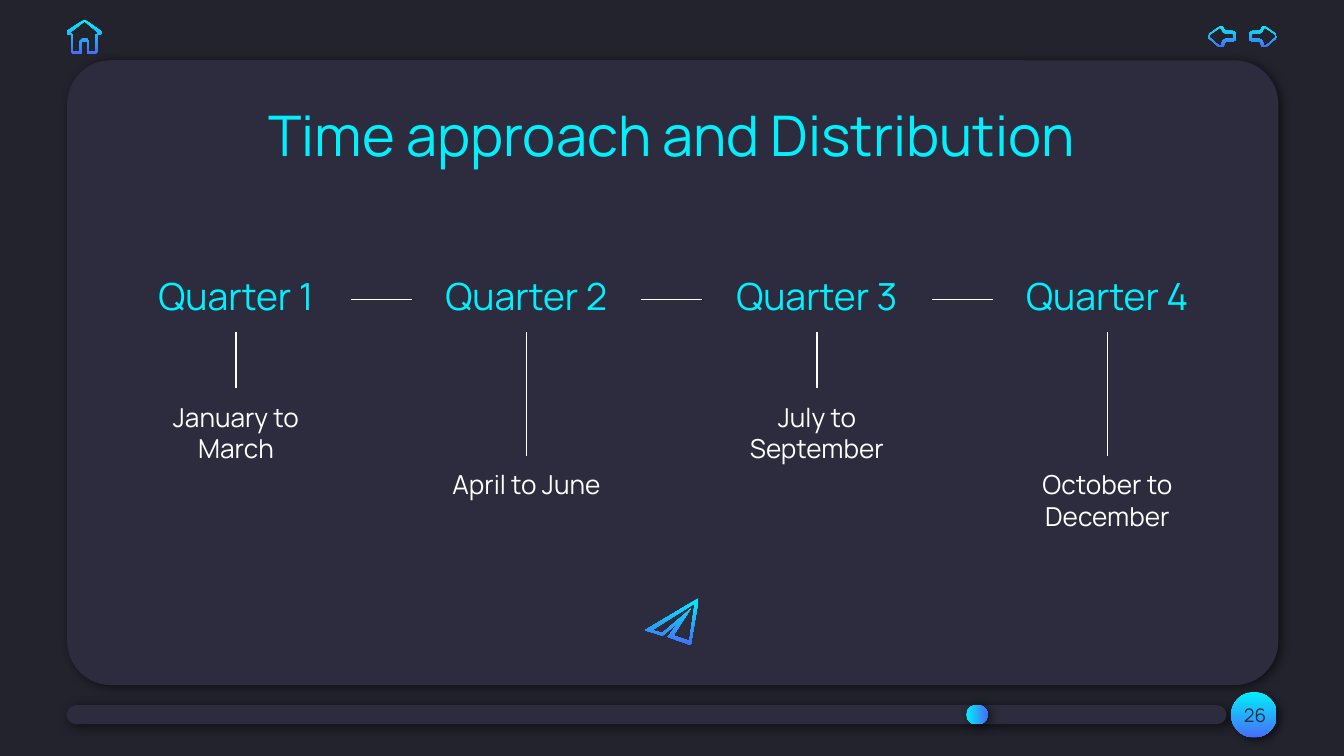
"""Build the quarterly time approach slide."""
from typing import NamedTuple

from lxml.etree import SubElement as Sub
from pptx import Presentation
from pptx.dml.color import RGBColor
from pptx.enum.shapes import MSO_CONNECTOR as Link, MSO_SHAPE as Kind
from pptx.enum.text import MSO_ANCHOR as Anchor, PP_ALIGN as Align
from pptx.oxml.ns import qn
from pptx.util import Cm, Pt

NIGHT = RGBColor(0x23, 0x23, 0x2E)
PANEL = RGBColor(0x2C, 0x2C, 0x3E)
CYAN = RGBColor(0x01, 0xF0, 0xFD)
BLUE = RGBColor(0x47, 0x6D, 0xFA)
WHITE = RGBColor(0xFF, 0xFF, 0xFF)
FONT = "Manrope"
DOWN, RIGHT = 270, 0
Points = list[tuple[int, int]]


class Box(NamedTuple):
    left: float
    top: float
    width: float
    height: float

    def size(self) -> list:
        return [Cm(side) for side in self]


class Stage(NamedTuple):
    name: str
    months: str
    top: float


HIGH, LOW = 7.34, 8.61
STAGES = [
    Stage("Quarter 1", "January to March", HIGH),
    Stage("Quarter 2", "April to June", LOW),
    Stage("Quarter 3", "July to September", HIGH),
    Stage("Quarter 4", "October to December", LOW),
]
LEFT, STEP, WIDTH = 2.29, 5.49, 4.34

UNIT = Cm(0.0254)
ARROW: list[Points] = [
    [(931, 26), (932, 25), (937, 25), (939, 24), (940, 22), (940, 21),
     (942, 21), (949, 26), (949, 28), (942, 34), (940, 34), (940, 32),
     (939, 30), (937, 29), (932, 29), (931, 28)],
    [(929, 28), (930, 30), (932, 31), (937, 31), (938, 32), (938, 33),
     (939, 35), (940, 35), (942, 35), (949, 29), (950, 28), (950, 27),
     (949, 25), (942, 20), (940, 19), (939, 20), (938, 22), (937, 23),
     (932, 23), (930, 24), (929, 26)],
]
MIRROR = 1849
PLANE: list[Points] = [
    [(517, 449), (513, 477), (501, 473), (514, 453), (493, 471), (485, 469)],
    [(520, 445), (480, 469), (493, 473), (505, 463), (497, 474), (514, 480)],
]
HOME: list[Points] = [
    [(63, 16), (74, 25), (73, 25), (71, 26), (71, 38), (66, 38), (66, 31),
     (65, 29), (61, 29), (59, 31), (59, 38), (54, 38), (54, 26), (53, 25),
     (51, 25)],
    [(63, 15), (62, 15), (50, 23), (50, 25), (51, 26), (53, 26), (53, 38),
     (54, 40), (61, 40), (61, 31), (65, 31), (65, 40), (71, 40), (73, 38),
     (73, 26), (74, 26), (76, 25), (75, 23), (64, 15)],
]


def blend(shape, angle: int) -> None:
    """Fill a shape from cyan to blue."""
    shape.fill.gradient()
    shape.fill.gradient_angle = angle
    for stop, tint in zip(shape.fill.gradient_stops, (CYAN, BLUE)):
        stop.color.rgb = tint


def shade(shape, blur: float = 5.6) -> None:
    """Give a shape a soft outer shadow."""
    glow = Sub(shape.element.spPr.find(qn("a:effectLst")), qn("a:outerShdw"),
               blurRad=str(Pt(blur)), dist=str(Pt(2.2)), dir="1980000",
               algn="bl", rotWithShape="0")
    tint = Sub(glow, qn("a:srgbClr"), val="000000")
    Sub(tint, qn("a:alpha"), val="60000")


def solid(shapes, kind: Kind, box: Box, curve: float | None = None):
    """Add a borderless preset shape in the panel colour."""
    shape = shapes.add_shape(kind, *box.size())
    shape.shadow.inherit = False
    shape.line.fill.background()
    shape.fill.solid()
    shape.fill.fore_color.rgb = PANEL
    if curve is not None:
        shape.adjustments[0] = curve
    return shape


def label(shapes, text: str, box: Box, size: int, tint: RGBColor,
          anchor: Anchor = Anchor.TOP):
    """Add a centred text box."""
    item = shapes.add_textbox(*box.size())
    frame = item.text_frame
    frame.word_wrap = True
    frame.vertical_anchor = anchor
    frame.margin_left = frame.margin_right = Cm(0.25)
    frame.margin_top = frame.margin_bottom = Cm(0.25)
    para = frame.paragraphs[0]
    para.alignment = Align.CENTER
    run = para.add_run()
    run.text = text
    run.font.name = FONT
    run.font.size = Pt(size)
    run.font.color.rgb = tint
    return item


def join(shapes, start, out: int, end, into: int) -> None:
    """Link two boxes with a thin white line."""
    line = shapes.add_connector(Link.STRAIGHT, 0, 0, 0, 0)
    line.begin_connect(start, out)
    line.end_connect(end, into)
    line.line.color.rgb = WHITE
    line.line.width = Pt(0.75)
    Sub(line.element.spPr, qn("a:effectLst"))


def icon(shapes, rings: list[Points]) -> None:
    """Add a hollow icon from its inner and outer rings."""
    first, *others = rings
    pen = shapes.build_freeform(*first[0], scale=UNIT)
    pen.add_line_segments(first[1:], close=True)
    for ring in others:
        pen.move_to(*ring[0])
        pen.add_line_segments(ring[1:], close=True)
    shape = pen.convert_to_shape()
    shape.shadow.inherit = False
    shape.line.fill.background()
    blend(shape, DOWN)


def main() -> None:
    """Draw the slide and save it."""
    deck = Presentation()
    deck.slide_width, deck.slide_height = Cm(25.4), Cm(14.29)
    slide = deck.slides.add_slide(deck.slide_layouts[6])
    slide.background.fill.solid()
    slide.background.fill.fore_color.rgb = NIGHT
    shapes = slide.shapes

    shade(solid(shapes, Kind.ROUNDED_RECTANGLE,
                Box(1.27, 1.14, 22.89, 11.81), 0.07))
    shade(solid(shapes, Kind.ROUNDED_RECTANGLE,
                Box(1.26, 13.33, 21.92, 0.36), 0.5))
    badge = solid(shapes, Kind.OVAL, Box(23.27, 13.08, 0.86, 0.86))
    blend(badge, DOWN)
    shade(badge, 4.5)
    label(shapes, "26", Box(22.96, 12.98, 1.52, 1.09), 10, PANEL,
          Anchor.MIDDLE)
    label(shapes, "Time approach and Distribution",
          Box(2.21, 1.65, 20.98, 1.6), 30, CYAN)

    last = None
    for rank, stage in enumerate(STAGES):
        left = LEFT + rank * STEP
        head = label(shapes, stage.name, Box(left, 5.05, WIDTH, 1.22), 20,
                     CYAN, Anchor.BOTTOM)
        note = label(shapes, stage.months,
                     Box(left, stage.top, WIDTH, 2.16), 14, WHITE)
        join(shapes, head, 2, note, 0)
        if last is not None:
            join(shapes, last, 3, head, 1)
        last = head

    knob = solid(shapes, Kind.ROUNDED_RECTANGLE,
                 Box(18.26, 13.33, 0.41, 0.36), 0.5)
    blend(knob, RIGHT)
    shade(knob)
    flip = [[(MIRROR - x, y) for x, y in ring] for ring in ARROW]
    for rings in (ARROW, flip, PLANE, HOME):
        icon(shapes, rings)
    deck.save("out.pptx")


if __name__ == "__main__":
    main()
